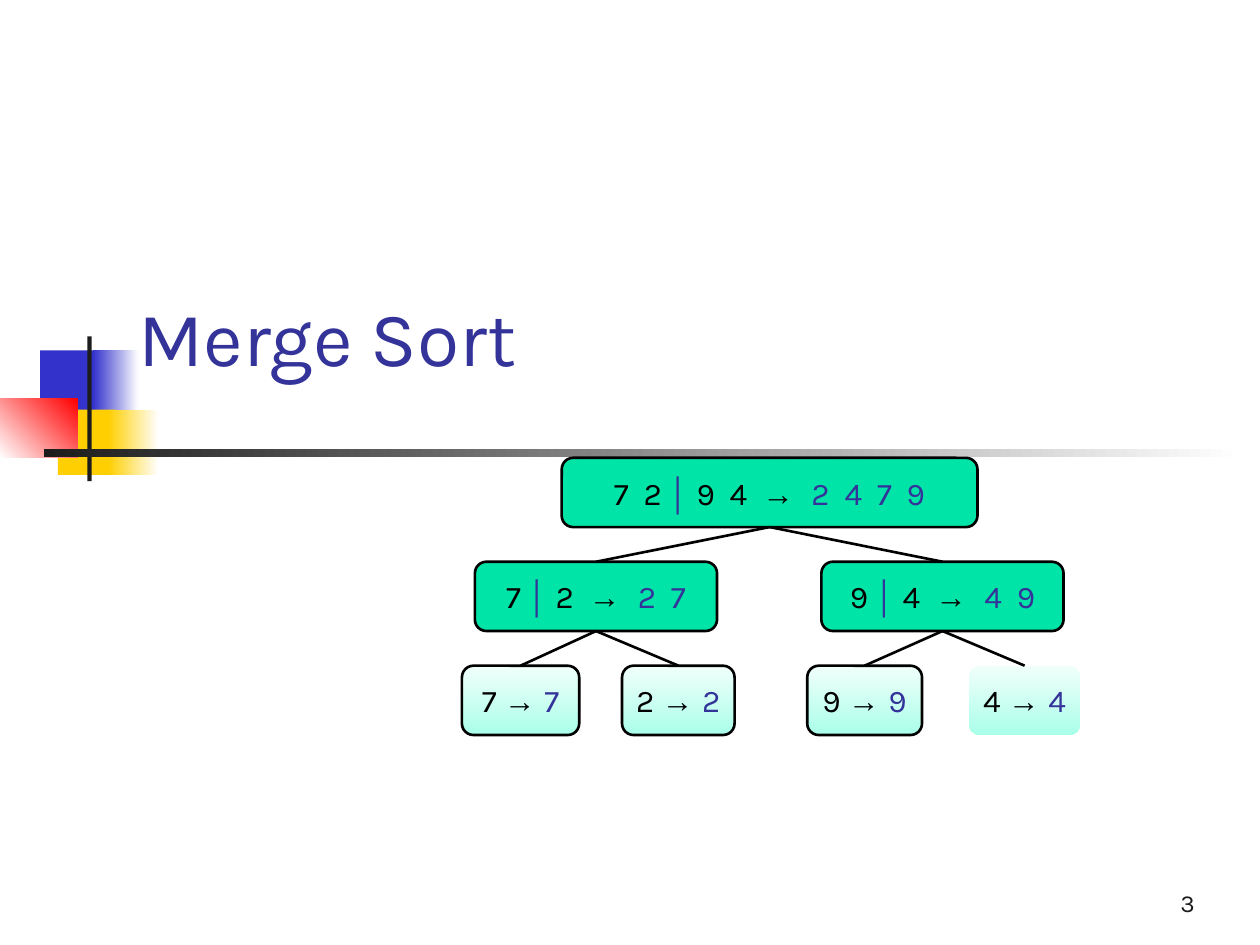
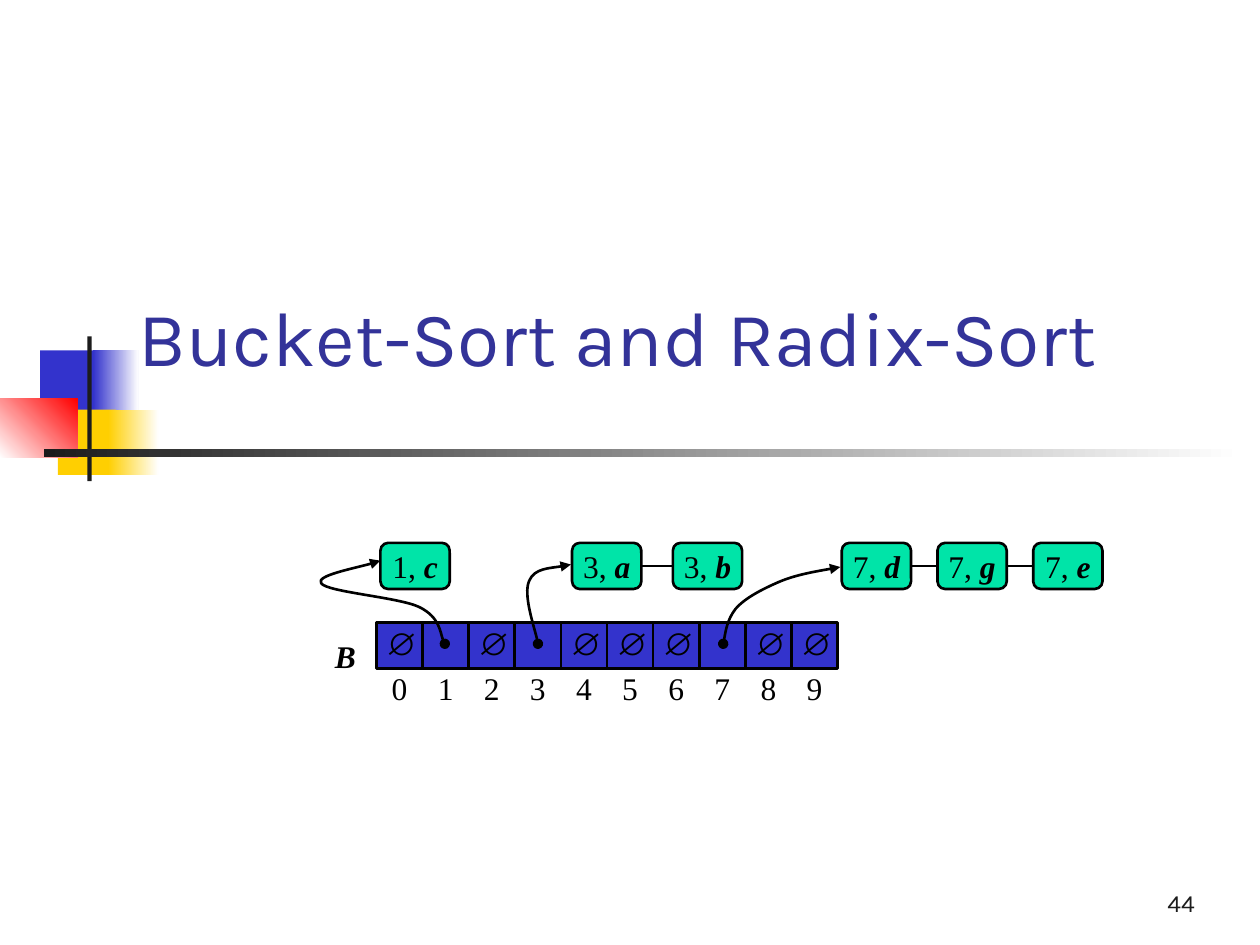
from lxml import etree
from pptx import Presentation
from pptx.dml.color import RGBColor
from pptx.enum import shapes as kinds
from pptx.enum import text as layout
from pptx.oxml import ns
from pptx.util import Pt

BLACK = RGBColor(0x00, 0x00, 0x00)
WHITE = RGBColor(0xFF, 0xFF, 0xFF)
CHARCOAL = RGBColor(0x1C, 0x1C, 0x1C)
INDIGO = RGBColor(0x33, 0x33, 0x99)
BLUE = RGBColor(0x33, 0x33, 0xCC)
YELLOW = RGBColor(0xFF, 0xCF, 0x01)
RED = RGBColor(0xFF, 0x00, 0x00)
GREEN = RGBColor(0x00, 0xE4, 0xA8)
PALE_MINT = RGBColor(0xF1, 0xFF, 0xFB)
MINT = RGBColor(0xAA, 0xFF, 0xE9)

SANS, SYMBOL, SERIF = "Karla", "Arial", "Times New Roman"
RECT = kinds.MSO_SHAPE.RECTANGLE
ROUNDED = kinds.MSO_SHAPE.ROUNDED_RECTANGLE
LEFT, CENTER, RIGHT = layout.PP_ALIGN.LEFT, layout.PP_ALIGN.CENTER, layout.PP_ALIGN.RIGHT
TOP, MIDDLE, BOTTOM = layout.MSO_ANCHOR.TOP, layout.MSO_ANCHOR.MIDDLE, layout.MSO_ANCHOR.BOTTOM
SIDE_TOP, SIDE_LEFT, SIDE_BOTTOM, SIDE_RIGHT = range(4)
INSETS = (7.2, 3.6, 7.2, 3.6)
LINE_WIDTH = Pt(1.5)

CELL_LEFT, CELL_TOP, CELL_PITCH, CELL_SIZE = 215.1, 355.7, 26.35, 26.4
CHAINS = {
    1: (217.4, 0, "c"),
    3: (326.9, 57.6, "ab"),
    7: (481, 54.7, "dge"),
}
POINTERS = [
    [(254.2, 367.9), (252, 365), (251.3, 352.8), (239.8, 347),
     (228.2, 341.3), (187.2, 338.4), (183.6, 333.4),
     (180, 329), (210.2, 323.3), (217.4, 320.4)],
    [(307.4, 367.9), (306.7, 362.2), (298.8, 339.8), (302.4, 331.9),
     (305.3, 324.7), (321.1, 324), (326.2, 322.6)],
    [(413.3, 367.9), (414, 365), (415.4, 354.2), (420.5, 347.8),
     (425.5, 342), (434.9, 337), (445, 332.6),
     (455, 328.3), (473, 325.4), (480.2, 324)],
]


def write_text(box, spans, *, size=18, font=SANS, color=BLACK, align=CENTER,
               anchor=MIDDLE, insets=INSETS, wrap=False):
    frame = box.text_frame
    frame.word_wrap = wrap
    frame.vertical_anchor = anchor
    (frame.margin_left, frame.margin_top,
     frame.margin_right, frame.margin_bottom) = map(Pt, insets)
    para = frame.paragraphs[0]
    para.alignment = align
    for words, style in spans:
        span = para.add_run()
        span.text = words
        span.font.size = Pt(size)
        span.font.name = style.get("font", font)
        span.font.color.rgb = style.get("color", color)
        span.font.bold = style.get("bold", False)
        span.font.italic = style.get("italic", False)


def add_label(page, place, words, *, bold=False, italic=False, **format):
    box = page.shapes.add_textbox(*map(Pt, place))
    write_text(box, [(words, {"bold": bold, "italic": italic})], **format)


def add_box(page, kind, place, *colors, angle=0, outlined=False):
    box = page.shapes.add_shape(kind, *map(Pt, place))
    box.shadow.inherit = False
    if len(colors) == 1:
        box.fill.solid()
        box.fill.fore_color.rgb = colors[0]
    else:
        box.fill.gradient()
        box.fill.gradient_angle = angle
        for position, (stop, color) in enumerate(zip(box.fill.gradient_stops, colors)):
            stop.color.rgb = color
            stop.position = position
    if outlined:
        box.line.color.rgb = BLACK
        box.line.width = LINE_WIDTH
    else:
        box.line.fill.background()
    return box


def join(page, start, start_side, end, end_side):
    link = page.shapes.add_connector(kinds.MSO_CONNECTOR.STRAIGHT, 0, 0, 0, 0)
    link.begin_connect(start, start_side)
    link.end_connect(end, end_side)
    link.line.color.rgb = BLACK
    link.line.width = LINE_WIDTH
    etree.SubElement(link._element.spPr, ns.qn("a:effectLst"))


def add_pointer(page, points):
    points = [(Pt(x), Pt(y)) for x, y in points]
    builder = page.shapes.build_freeform(*points[0])
    builder.add_line_segments(points[1:], close=False)
    curve = builder.convert_to_shape()
    curve.shadow.inherit = False
    curve.fill.background()
    curve.line.color.rgb = BLACK
    curve.line.width = LINE_WIDTH
    properties = curve._element.spPr
    outline = properties.find(ns.qn("a:ln"))
    etree.SubElement(outline, ns.qn("a:headEnd"), type="oval")
    etree.SubElement(outline, ns.qn("a:tailEnd"), type="triangle")
    track = next(properties.iter(ns.qn("a:path")))
    steps = track.findall(ns.qn("a:lnTo"))
    for first in range(0, len(steps), 3):
        bezier = etree.SubElement(track, ns.qn("a:cubicBezTo"))
        for step in steps[first:first + 3]:
            bezier.append(step[0])
            track.remove(step)


def add_page(deck, title, number):
    page = deck.slides.add_slide(deck.slide_layouts[6])
    add_box(page, RECT, (23, 200.2, 34.6, 37.4), BLUE)
    add_box(page, RECT, (53.3, 200.2, 25.9, 37.4), BLUE, WHITE)
    add_box(page, RECT, (33.1, 234, 33.1, 37.4), YELLOW)
    add_box(page, RECT, (61.9, 234, 28.8, 37.4), YELLOW, WHITE)
    add_box(page, RECT, (0, 227.9, 44.3, 33.6), WHITE, RED, angle=45)
    add_box(page, RECT, (49.9, 192.2, 2.5, 82.8), CHARCOAL)
    add_box(page, RECT, (25.2, 256.8, 684.7, 4.5), CHARCOAL, WHITE)
    add_label(page, (540, 491.8, 149.8, 36), number, size=14, color=CHARCOAL,
              align=RIGHT, anchor=BOTTOM, wrap=True)
    add_label(page, (72, 131.8, 612, 90), title, size=44, color=INDIGO,
              align=LEFT, anchor=BOTTOM, wrap=True)
    return page


def add_tree_box(page, level, left, width, *colors, outlined=True):
    place = (left, 261.6 + 59.4 * level, width, 39.6)
    return add_box(page, ROUNDED, place, *colors, angle=270, outlined=outlined)


def add_merge(page, level, left, width, first, second, merged):
    box = add_tree_box(page, level, left, width, GREEN)
    write_text(box, [
        (f"{first} ", {}),
        ("│", {"font": SYMBOL, "color": INDIGO, "bold": True}),
        (f" {second}  ", {}),
        ("→  ", {"font": SYMBOL, "bold": True}),
        (merged, {"color": INDIGO}),
    ])
    return box


def add_leaf(page, left, width, value, outlined=True):
    box = add_tree_box(page, 2, left, width, PALE_MINT, MINT, outlined=outlined)
    write_text(box, [
        (f"{value} ", {}),
        ("→ ", {"font": SYMBOL, "bold": True}),
        (value, {"color": INDIGO}),
    ])
    return box


def add_merge_tree(page):
    root = add_merge(page, 0, 321, 237.6, "7  2", "9  4", "2  4  7  9")
    low = add_merge(page, 1, 271.4, 138.4, "7", "2", "2  7")
    high = add_merge(page, 1, 469.4, 138.4, "9", "4", "4  9")
    seven = add_leaf(page, 264, 67, "7")
    two = add_leaf(page, 355.5, 64.3, "2")
    nine = add_leaf(page, 461.3, 65.6, "9")
    four = add_leaf(page, 553.7, 63.6, "4", outlined=False)
    for parent, children in ((root, (low, high)), (low, (seven, two)), (high, (nine, four))):
        for child in children:
            join(page, child, SIDE_TOP, parent, SIDE_BOTTOM)


def add_buckets(page):
    lefts = [CELL_LEFT + CELL_PITCH * index for index in range(10)]
    for index, left in enumerate(lefts):
        cell = add_box(page, RECT, (left, CELL_TOP, CELL_SIZE, CELL_SIZE), BLUE, outlined=True)
        write_text(cell, [(str(index), {})], font=SERIF, anchor=TOP,
                   insets=(7.2, 26.6, 7.2, -20.2))
    add_label(page, (184.3, 360.7, 25.9, 28.8), "B", font=SERIF, anchor=TOP,
              bold=True, italic=True)
    for index, left in enumerate(lefts):
        if index not in CHAINS:
            add_label(page, (left - 1.6, 352.8, 28.8, 28.8), "∅", font=SYMBOL, anchor=TOP)


def add_chain(page, key, left, pitch, values):
    previous = None
    for index, value in enumerate(values):
        place = (left + pitch * index, 310.2, 39.6, 26.4)
        entry = add_box(page, ROUNDED, place, GREEN, outlined=True)
        write_text(entry, [(f"{key}, ", {}), (value, {"bold": True, "italic": True})],
                   font=SERIF, insets=(0, 3.6, 0, 3.6))
        if previous is not None:
            join(page, previous, SIDE_RIGHT, entry, SIDE_LEFT)
        previous = entry


def main():
    deck = Presentation()
    deck.slide_width, deck.slide_height = Pt(720), Pt(540)
    add_merge_tree(add_page(deck, "Merge Sort", "3"))
    page = add_page(deck, "Bucket-Sort and Radix-Sort", "44")
    add_buckets(page)
    for key, chain in CHAINS.items():
        add_chain(page, key, *chain)
    for points in POINTERS:
        add_pointer(page, points)
    deck.save("out.pptx")


if __name__ == "__main__":
    main()
